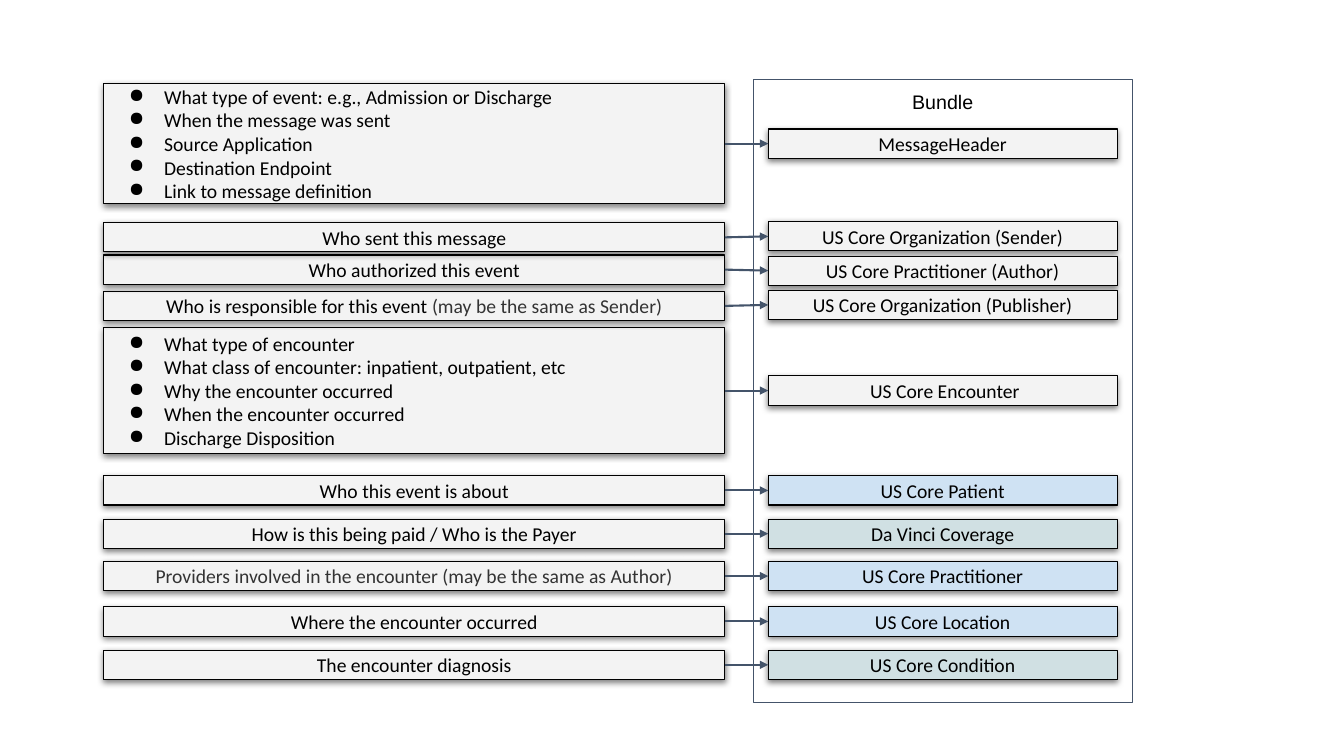
from lxml import etree
from pptx import Presentation, util as u
from pptx.dml.color import RGBColor
from pptx.enum import shapes, text
from pptx.oxml import ns

BLACK = RGBColor(0x00, 0x00, 0x00)
CHARCOAL = RGBColor(0x33, 0x33, 0x33)
SLATE = RGBColor(0x44, 0x54, 0x6A)
GREY = RGBColor(0xF3, 0xF3, 0xF3)
BLUE = RGBColor(0xCF, 0xE2, 0xF3)
TEAL = RGBColor(0xD0, 0xE0, 0xE3)

# Grid: one column or row is a tenth of an inch
CELL = u.Inches(0.1)
QUESTION_COLUMN, QUESTION_WIDTH = 10.3, 61.6
RESOURCE_COLUMN, RESOURCE_WIDTH = 76.2, 34.6
BAR_HEIGHT = 2.9
TOP, LEFT, RIGHT = 0, 1, 3

EVENT_DETAILS = [
    "What type of event: e.g., Admission or Discharge",
    "When the message was sent",
    "Source Application",
    "Destination Endpoint",
    "Link to message definition",
]
ENCOUNTER_DETAILS = [
    "What type of encounter",
    "What class of encounter: inpatient, outpatient, etc",
    "Why the encounter occurred",
    "When the encounter occurred",
    "Discharge Disposition",
]

# Question row, height and paragraphs; resource row, name and fill
MAPPINGS = [
    (8.3, 11.9, EVENT_DETAILS, 12.8, "MessageHeader", GREY),
    (22.1, BAR_HEIGHT, ["Who sent this message"],
     22, "US Core Organization (Sender)", GREY),
    (25.3, BAR_HEIGHT, ["Who authorized this event"],
     25.4, "US Core Practitioner (Author)", GREY),
    (28.9, BAR_HEIGHT,
     [[("Who is responsible for this event ", BLACK),
       ("(may be the same as Sender)", CHARCOAL)]],
     28.8, "US Core Organization (Publisher)", GREY),
    (32.5, 12.5, ENCOUNTER_DETAILS, 37.3, " US Core Encounter", GREY),
    (47.2, BAR_HEIGHT, ["Who this event is about"],
     47.2, "US Core Patient", BLUE),
    (51.5, BAR_HEIGHT, ["How is this being paid / Who is the Payer"],
     51.5, "Da Vinci Coverage", TEAL),
    (55.7, BAR_HEIGHT,
     [[("Providers involved in the encounter (may be the same as Author)",
        CHARCOAL)]],
     55.7, "US Core Practitioner", BLUE),
    (60.2, BAR_HEIGHT, ["Where the encounter occurred"],
     60.2, "US Core Location", BLUE),
    (64.5, BAR_HEIGHT, ["The encounter diagnosis"],
     64.5, "US Core Condition", TEAL),
]


def cells(count):
    return u.Emu(round(count * CELL))


def add_xml(parent, tag, **attributes):
    return etree.SubElement(parent, ns.qn(tag), attributes)


def write(para, content, font="Calibri", size=14, color=BLACK, bullet=False):
    """Fill a paragraph with a string or a list of (string, colour) spans."""
    spans = [(content, color)] if isinstance(content, str) else content
    for words, span_color in spans:
        span = para.add_run()
        span.text = words
        span.font.name = font
        span.font.size = u.Pt(size)
        span.font.color.rgb = span_color
    para.alignment = text.PP_ALIGN.LEFT if bullet else text.PP_ALIGN.CENTER
    if bullet:
        properties = para._p.get_or_add_pPr()
        properties.set("marL", str(cells(5)))
        properties.set("indent", str(cells(-3.5)))
        tint = add_xml(properties, "a:buClr")
        add_xml(tint, "a:srgbClr", val=str(color))
        add_xml(properties, "a:buChar", char="●")


class Diagram:
    def __init__(self, page, outline=BLACK, accent=SLATE):
        self.page = page
        self.outline = outline
        self.accent = accent

    def rectangle(self, column, row, width, height, line):
        box = self.page.shapes.add_shape(
            shapes.MSO_SHAPE.RECTANGLE, *map(cells, (column, row, width, height)))
        box.shadow.inherit = False
        box.fill.background()
        box.line.color.rgb = line
        box.line.width = u.Pt(0.75)
        frame = box.text_frame
        frame.word_wrap = True
        frame.margin_left = frame.margin_right = cells(1)
        frame.margin_top = frame.margin_bottom = cells(1)
        return box

    def container(self, column, row, width, height, title):
        box = self.rectangle(column, row, width, height, self.accent)
        box.text_frame.vertical_anchor = text.MSO_ANCHOR.TOP
        write(box.text_frame.paragraphs[0], title, font="Arial")

    def card(self, column, row, width, height, paragraphs, fill=GREY):
        box = self.rectangle(column, row, width, height, self.outline)
        box.fill.solid()
        box.fill.fore_color.rgb = fill
        self.drop_shadow(box)
        frame = box.text_frame
        frame.vertical_anchor = text.MSO_ANCHOR.MIDDLE
        for index, content in enumerate(paragraphs):
            para = frame.add_paragraph() if index else frame.paragraphs[0]
            write(para, content, bullet=len(paragraphs) > 1)
        return box

    def drop_shadow(self, box):
        effects = box._element.spPr.find(ns.qn("a:effectLst"))
        shadow = add_xml(effects, "a:outerShdw", blurRad=str(u.Pt(4.5)),
                         dist=str(u.Pt(1.5)), dir="5400000",
                         algn="bl", rotWithShape="0")
        tint = add_xml(shadow, "a:srgbClr", val=str(BLACK))
        add_xml(tint, "a:alpha", val="50000")

    def arrow(self, source, target):
        link = self.page.shapes.add_connector(
            shapes.MSO_CONNECTOR.STRAIGHT, 0, 0, 0, 0)
        link.begin_connect(source, RIGHT)
        link.end_connect(target, LEFT)
        link.line.color.rgb = self.accent
        link.line.width = u.Pt(1.5)
        add_xml(link.line._get_or_add_ln(), "a:tailEnd", type="triangle")
        add_xml(link._element.spPr, "a:effectLst")


def main():
    deck = Presentation()
    deck.slide_width, deck.slide_height = u.Inches(13.33), u.Inches(7.5)
    diagram = Diagram(deck.slides.add_slide(deck.slide_layouts[6]))

    # Bundle and its resources
    diagram.container(74.7, 7.9, 37.6, 61.8, "Bundle")
    resources = [
        diagram.card(RESOURCE_COLUMN, row, RESOURCE_WIDTH, BAR_HEIGHT, [name], fill)
        for *_, row, name, fill in MAPPINGS]

    # Questions, stacked upwards so that each shadow falls on the box below
    questions = [
        diagram.card(QUESTION_COLUMN, row, QUESTION_WIDTH, height, paragraphs)
        for row, height, paragraphs, *_ in reversed(MAPPINGS)]

    # Arrows from question to resource
    for question, resource in zip(reversed(questions), resources):
        diagram.arrow(question, resource)

    deck.save("out.pptx")


if __name__ == "__main__":
    main()
